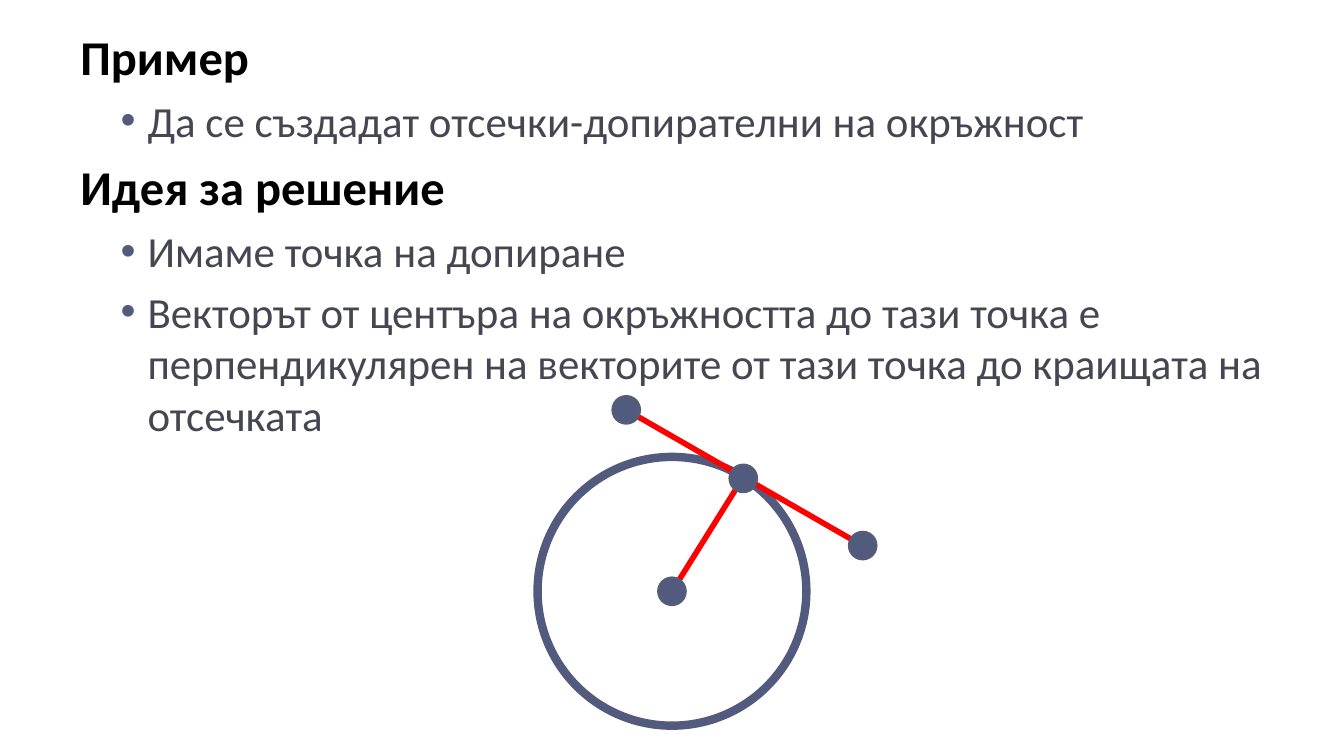
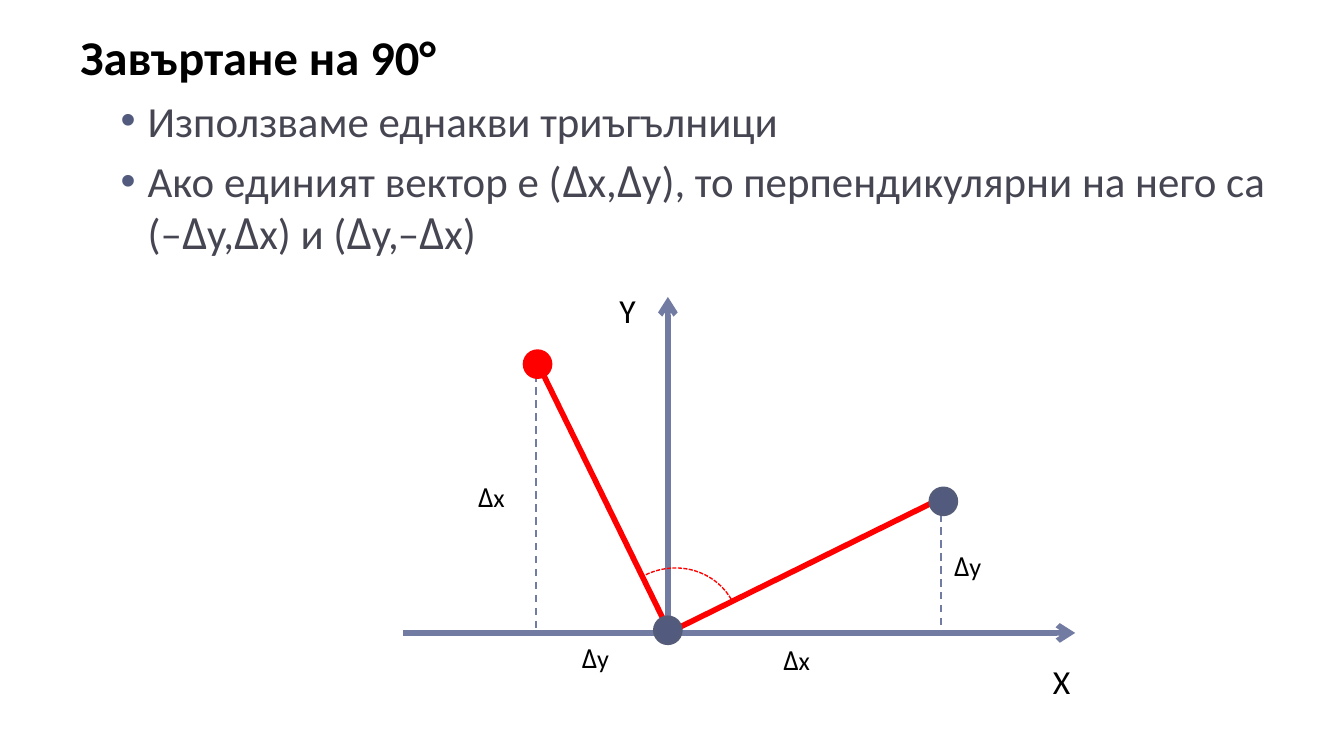
import dataclasses
import itertools

import lxml.etree
import pptx
import pptx.dml.color
import pptx.enum.dml
import pptx.enum.shapes
import pptx.enum.text
import pptx.oxml.ns
import pptx.util

Pt = pptx.util.Pt
SHAPE = pptx.enum.shapes.MSO_SHAPE
DASH = pptx.enum.dml.MSO_LINE
ALIGN = pptx.enum.text.PP_ALIGN
qn = pptx.oxml.ns.qn


@dataclasses.dataclass(frozen=True)
class Theme:
    font: str = "Calibri"
    delta_font: str = "League Spartan"
    black: str = "000000"
    body: str = "464653"
    accent: str = "525B7E"
    dot_line: str = "545C79"
    axis: str = "727CA3"
    red: str = "FF0000"
    heading_size: float = 26
    body_size: float = 23
    axis_size: float = 18
    delta_size: float = 14
    dot: float = 14.4
    label_height: float = 28.8


T = Theme()


def rgb(color):
    return pptx.dml.color.RGBColor.from_string(color)


def child(parent, tag, **attrs):
    return lxml.etree.SubElement(parent, qn(tag), attrs)


def add_runs(p, text, size, color, bold=False):
    for is_delta, chars in itertools.groupby(text, lambda c: c == "Δ"):
        r = p.add_run()
        r.text = "".join(chars)
        r.font.name = T.delta_font if is_delta else T.font
        r.font.size = Pt(size)
        r.font.bold = bold
        r.font.color.rgb = rgb(color)


def add_bullet(p):
    p.level = 1
    pPr = p._p.get_or_add_pPr()
    pPr.set("marL", str(Pt(36)))
    pPr.set("indent", str(Pt(-14.4)))
    child(child(pPr, "a:buClr"), "a:srgbClr", val=T.accent)
    child(pPr, "a:buFont", typeface="Arial")
    child(pPr, "a:buChar", char="•")


def add_body(s, sections):
    tf = s.shapes.add_textbox(Pt(36), Pt(10.8), Pt(671.8), Pt(390)).text_frame
    tf.word_wrap = True
    p = tf.paragraphs[0]
    for i, (heading, bullets) in enumerate(sections):
        if i:
            p = tf.add_paragraph()
        p.space_before = Pt(6)
        add_runs(p, heading, T.heading_size, T.black, True)
        for text in bullets:
            p = tf.add_paragraph()
            p.space_before = Pt(5)
            add_bullet(p)
            add_runs(p, text, T.body_size, T.body)


def add_line(shapes, start, end, color, width=3, dash=None, arrow=False):
    line = shapes.add_connector(
        pptx.enum.shapes.MSO_CONNECTOR.STRAIGHT, *map(Pt, start + end))
    line.line.color.rgb = rgb(color)
    line.line.width = Pt(width)
    if dash:
        line.line.dash_style = dash
    if arrow:
        child(line.get_or_add_ln(), "a:tailEnd", type="arrow")
    child(line._element.find(qn("p:spPr")), "a:effectLst")


def add_shape(shapes, kind, box, fill=None, line=None, width=1.5):
    sp = shapes.add_shape(kind, *map(Pt, box))
    sp.shadow.inherit = False
    if fill:
        sp.fill.solid()
        sp.fill.fore_color.rgb = rgb(fill)
    else:
        sp.fill.background()
    if line:
        sp.line.color.rgb = rgb(line)
        sp.line.width = Pt(width)
    else:
        sp.line.fill.background()
    return sp


def add_dot(shapes, center, fill=T.accent, line=T.dot_line):
    x, y = (c - T.dot / 2 for c in center)
    add_shape(shapes, SHAPE.OVAL, (x, y, T.dot, T.dot), fill, line)


def add_label(s, text, x, y, width, size, align):
    sp = add_shape(s.shapes, SHAPE.CHEVRON, (x, y, width, T.label_height))
    sp.adjustments[0] = 0
    tf = sp.text_frame
    tf.word_wrap = True
    tf.vertical_anchor = pptx.enum.text.MSO_ANCHOR.MIDDLE
    p = tf.paragraphs[0]
    p.alignment = align
    add_runs(p, text, size, T.black)


def build_tangent(s):
    add_body(s, [
        ("Пример", ["Да се създадат отсечки-допирателни на окръжност"]),
        ("Идея за решение", [
            "Имаме точка на допиране",
            "Векторът от центъра на окръжността до тази точка е "
            "перпендикулярен на векторите от тази точка до краищата на "
            "отсечката"]),
    ])
    center = (360, 316.8)
    add_shape(s.shapes, SHAPE.OVAL, (288, 244.8, 144, 144),
              line=T.accent, width=4.5)
    add_line(s.shapes, (396, 259.2), center, T.red)
    add_dot(s.shapes, center)
    tangent = s.shapes.add_group_shape().shapes
    add_line(tangent, (335.5, 219.6), (460.8, 291.6), T.red)
    for point in [(335.5, 219.6), (462.2, 292.3), (398.2, 256.3)]:
        add_dot(tangent, point)


def build_rotation(s):
    axis_y = 339.1
    for x, top in [(504, 268.6), (287.3, 193.7)]:
        add_line(s.shapes, (x, top), (x, axis_y), T.axis, 1, DASH.DASH)
    add_body(s, [("Завъртане на 90°", [
        "Използваме еднакви триъгълници",
        "Ако единият вектор е (Δx,Δy), то перпендикулярни на него са "
        "(–Δy,Δx) и (Δy,–Δx)"])])
    add_line(s.shapes, (504, 267.1), (359.3, 338.4), T.red)
    add_dot(s.shapes, (505.4, 268.6))
    add_line(s.shapes, (357.8, axis_y), (357.8, 159.1), T.axis, arrow=True)
    add_line(s.shapes, (216, axis_y), (576, axis_y), T.axis, arrow=True)
    for text, x, y in [("X", 554.4, 350.6), ("Y", 321.8, 151.9)]:
        add_label(s, text, x, y, 28.8, T.axis_size, ALIGN.CENTER)
    add_dot(s.shapes, (288, 195.1), T.red, T.red)
    add_line(s.shapes, (288, 194.4), (358.6, 338.4), T.red)
    add_dot(s.shapes, (357.8, 337.7))
    for text, x, y in [("Δy", 504, 288.7), ("Δx", 412.6, 339.1),
                       ("Δx", 249.1, 252), ("Δy", 304.6, 338.4)]:
        add_label(s, text, x, y, 37.4, T.delta_size, ALIGN.LEFT)
    arc = add_shape(s.shapes, SHAPE.ARC, (324.7, 304.6, 72, 69.1),
                    line=T.red, width=0.75)
    arc.line.dash_style = DASH.SQUARE_DOT
    arc.rotation = 330


def main():
    prs = pptx.Presentation()
    prs.slide_width, prs.slide_height = Pt(720), Pt(405)
    for build in (build_tangent, build_rotation):
        build(prs.slides.add_slide(prs.slide_layouts[6]))
    prs.save("out.pptx")


main()
